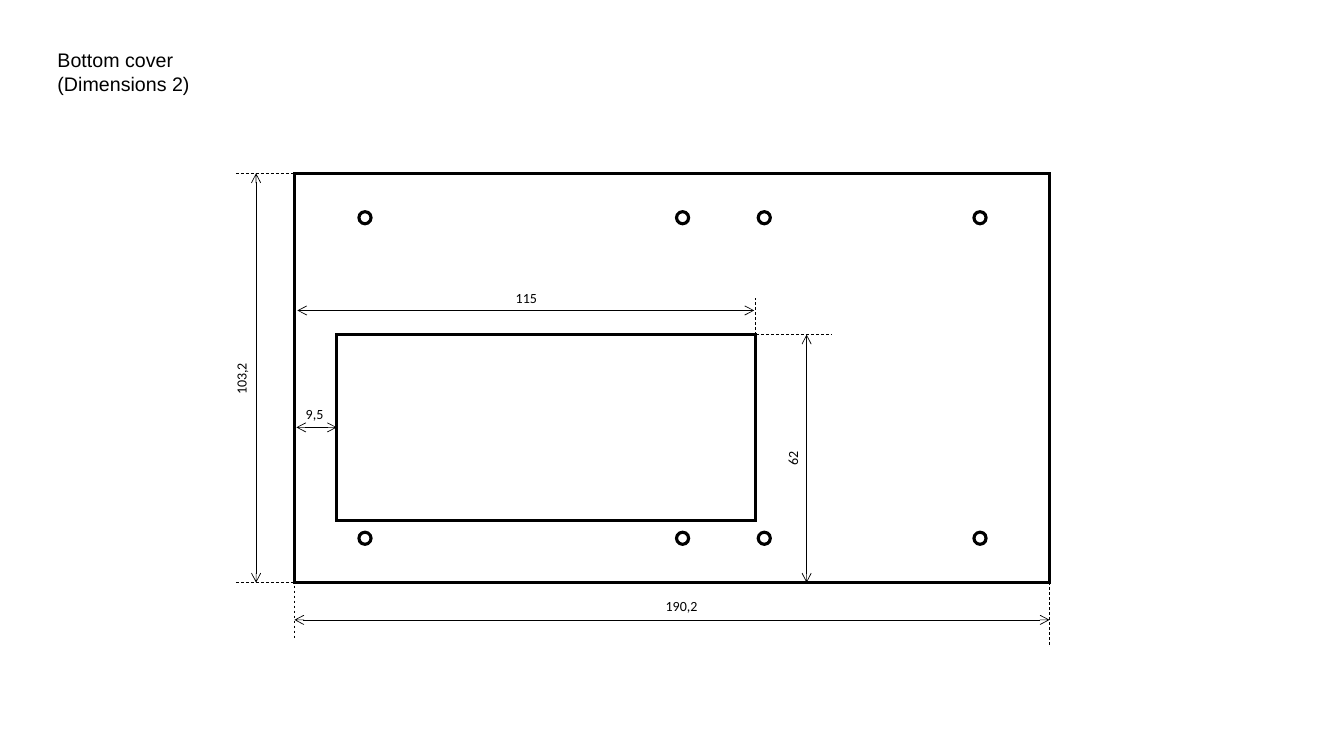
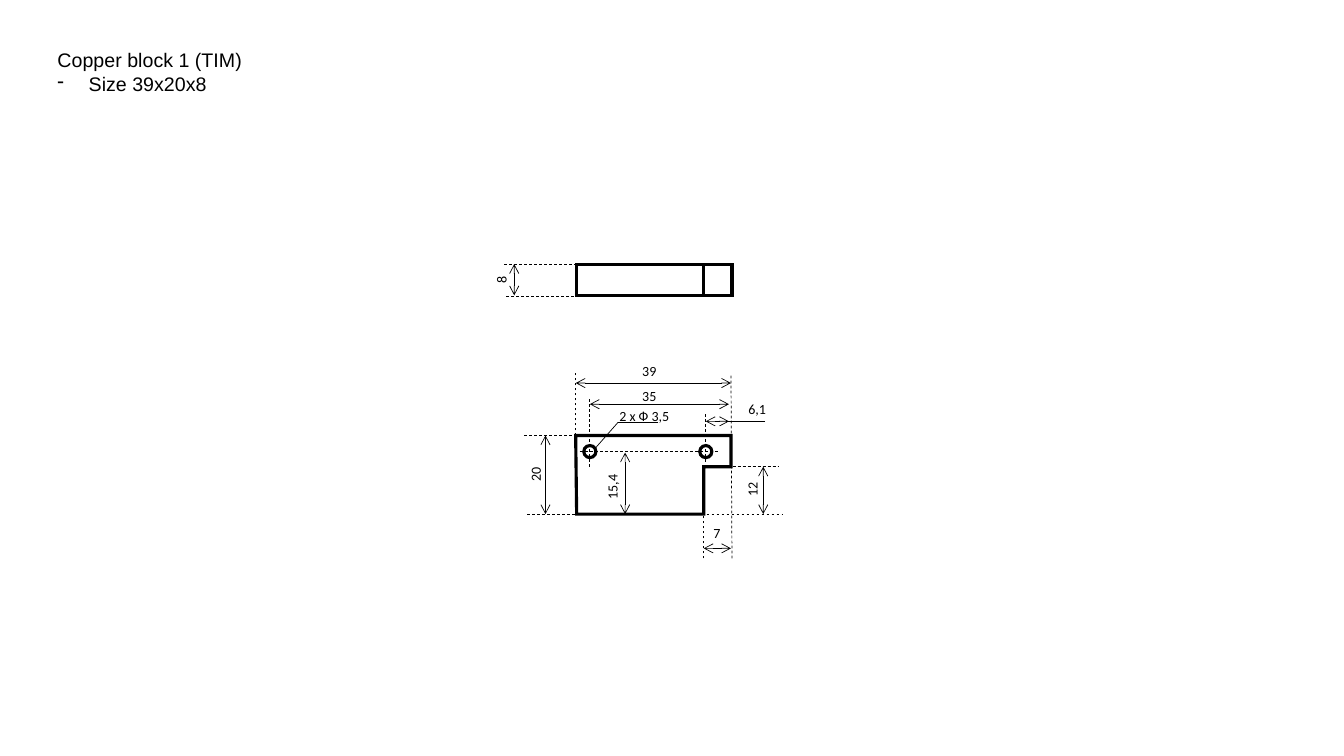
from dataclasses import dataclass
from itertools import product

from lxml.etree import SubElement
from pptx import Presentation
from pptx.dml.color import RGBColor
from pptx.enum.dml import MSO_LINE
from pptx.enum.shapes import MSO_CONNECTOR, MSO_SHAPE
from pptx.enum.text import MSO_ANCHOR, MSO_AUTO_SIZE, PP_ALIGN
from pptx.oxml.ns import qn
from pptx.util import Inches, Pt


@dataclass(frozen=True)
class Theme:
    ink: RGBColor = RGBColor(0, 0, 0)
    title_font: str = "Arial"
    title_size: int = 14
    label_font: str = "Calibri"
    label_size: int = 10
    edge: float = 2.25
    thin: float = 0.5
    hole: float = 0.12


@dataclass(frozen=True)
class Box:
    x: float
    y: float
    w: float
    h: float


THEME = Theme()


def add_run(para, text, font, size):
    run = para.add_run()
    run.text = text
    run.font.name = font
    run.font.size = Pt(size)
    run.font.color.rgb = THEME.ink


class Pen:
    """Draws on a slide, with all lengths in inches from the box's corner."""

    def __init__(self, slide, box):
        self.shapes = slide.shapes
        self.box = box

    def spot(self, x, y):
        return Inches(self.box.x + x), Inches(self.box.y + y)

    def outline(self, shape):
        shape.shadow.inherit = False
        shape.fill.background()
        shape.line.color.rgb = THEME.ink
        shape.line.width = Pt(THEME.edge)
        ln = shape._element.spPr.find(qn("a:ln"))
        SubElement(ln, qn("a:miter"), lim="800000")
        return shape

    def shape(self, kind, x, y, w, h):
        return self.outline(self.shapes.add_shape(
            kind, *self.spot(x, y), Inches(w), Inches(h)))

    def rect(self, x, y, w, h):
        return self.shape(MSO_SHAPE.RECTANGLE, x, y, w, h)

    def holes(self, cols, rows):
        """Puts a hole centred on every crossing of cols and rows."""
        size = THEME.hole
        for x, y in product(cols, rows):
            self.shape(MSO_SHAPE.OVAL, x - size / 2, y - size / 2, size, size)

    def polygon(self, points):
        first, *rest = [self.spot(*point) for point in points]
        form = self.shapes.build_freeform(*first, scale=1.0)
        form.add_line_segments(rest, close=True)
        return self.outline(form.convert_to_shape())

    def line(self, x1, y1, x2, y2, width=THEME.thin, dash=False, arrows=False):
        line = self.shapes.add_connector(
            MSO_CONNECTOR.STRAIGHT, *self.spot(x1, y1), *self.spot(x2, y2))
        line.line.color.rgb = THEME.ink
        line.line.width = Pt(width)
        if dash:
            line.line.dash_style = MSO_LINE.DASH
        props = line._element.spPr
        if arrows:
            for end in ("a:headEnd", "a:tailEnd"):
                SubElement(props.find(qn("a:ln")), qn(end), type="arrow")
        SubElement(props, qn("a:effectLst"))
        return line

    def guides(self, *ends):
        for end in ends:
            self.line(*end, dash=True)

    def spans(self, *ends):
        """Draws dimension lines, with an arrowhead at both ends."""
        for end in ends:
            self.line(*end, arrows=True)

    def label(self, text, x, y, turn=False):
        """Centres a text on (x, y); turn makes it read upwards."""
        w, h = 0.8, 0.27
        area = self.shapes.add_textbox(
            *self.spot(x - w / 2, y - h / 2), Inches(w), Inches(h))
        area.rotation = 270 if turn else 0
        frame = area.text_frame
        frame.word_wrap = True
        frame.margin_left = frame.margin_right = 0
        frame.vertical_anchor = MSO_ANCHOR.MIDDLE
        para = frame.paragraphs[0]
        para.alignment = PP_ALIGN.CENTER
        add_run(para, text, THEME.label_font, THEME.label_size)

    def labels(self, *items):
        for item in items:
            self.label(*item)


def add_page(deck, title, detail, dashed=False):
    """Adds a slide with a two-line title; dashed lists the second line."""
    slide = deck.slides.add_slide(deck.slide_layouts[5])
    head = slide.shapes.title
    head.left, head.top = Inches(0.47), Inches(0.43)
    head.width, head.height = Inches(4.41), Inches(0.57)
    frame = head.text_frame
    frame.word_wrap = True
    frame.auto_size = MSO_AUTO_SIZE.NONE
    frame.vertical_anchor = MSO_ANCHOR.TOP
    for para, text in ((frame.paragraphs[0], title),
                       (frame.add_paragraph(), detail)):
        para.alignment = PP_ALIGN.LEFT
        add_run(para, text, THEME.title_font, THEME.title_size)
    if dashed:
        props = para._p.get_or_add_pPr()
        indent = Inches(0.31)
        props.set("marL", str(indent))
        props.set("indent", str(-indent))
        SubElement(props, qn("a:buChar"), char="-")
    return slide


def draw_cover(slide, box):
    pen = Pen(slide, box)
    w, h = box.w, box.h
    cut = Box(0.42, 1.6, 4.15, 1.84)
    right = cut.x + cut.w
    pen.rect(0, 0, w, h)
    window = pen.rect(cut.x, cut.y, cut.w, cut.h)
    pen.holes((0.7, 3.85, 4.66, 6.8), (0.44, 3.62))
    pen.guides(
        (-0.58, 0, 0.32, 0),
        (-0.58, h, 0.12, h),
        (0, h - 0.12, 0, h + 0.56),
        (w, h - 0.2, w, h + 0.64),
        (right - 0.29, cut.y, right + 0.76, cut.y),
        (right, cut.y + 0.3, right, cut.y - 0.36),
    )
    pen.spans(
        (-0.38, 0, -0.38, h),
        (0, h + 0.37, w, h + 0.37),
        (0.03, 1.36, right - 0.01, 1.36),
        (5.08, cut.y, 5.08, h),
    )
    mid = cut.y + cut.h / 2
    gap = pen.line(0.02, mid, cut.x, mid, arrows=True)
    gap.end_connect(window, 1)
    pen.labels(
        ("103,2", -0.53, 2.04, True),
        ("190,2", 3.84, 4.29),
        ("115", 2.3, 1.24),
        ("62", 4.94, 2.83, True),
        ("9,5", 0.2, 2.39),
    )


def draw_side(slide, box):
    pen = Pen(slide, box)
    w, h = box.w, box.h
    pen.rect(0, 0, w, h)
    pen.line(1.26, 0, 1.26, h, width=THEME.edge)
    pen.guides((-0.72, 0, 0.03, 0), (-0.7, h + 0.01, 0.05, h + 0.01))
    pen.spans((-0.62, 0, -0.62, h))
    pen.label("8", -0.75, h / 2, True)


def draw_plan(slide, box):
    pen = Pen(slide, box)
    w, h = box.w, box.h
    step, notch = 1.27, 0.31
    left, right, row = 0.14, 1.29, 0.16
    pen.polygon(((0, 0), (0.01, h), (step, h), (step, notch),
                 (w, notch), (w, 0)))
    pen.guides(
        (-0.51, 0, 0.15, 0),
        (-0.48, h, 0.18, h),
        (1.1, h, 2.06, h),
        (1.26, notch, 2.02, notch),
        (0.04, row, 1.41, row),
        (right, 0.26, right, -0.21),
        (left, 0.31, left, -0.38),
        (w + 0.01, 1.22, w, -0.61),
        (step, 1.22, step, h),
        (0, 0, 0, -0.64),
    )
    pen.spans(
        (-0.3, h, -0.3, 0),
        (0.49, h, 0.49, row + 0.01),
        (1.86, h, 1.86, notch),
        (step, 1.12, w, 1.12),
        (right, -0.14, w - 0.02, -0.14),
        (left, -0.31, w - 0.02, -0.31),
        (0, -0.52, w, -0.52),
    )
    pen.holes((left, right), (row,))
    for end in ((1.88, -0.14, 1.49, -0.14),
                (0.42, -0.13, 0.2, 0.12),
                (0.82, -0.13, 0.42, -0.13)):
        pen.line(*end)
    pen.labels(
        ("39", 0.73, -0.64),
        ("35", 0.73, -0.39),
        ("2 x Ф 3,5", 0.68, -0.19),
        ("6,1", 1.8, -0.26),
        ("20", -0.4, 0.39, True),
        ("15,4", 0.36, 0.51, True),
        ("12", 1.75, 0.54, True),
        ("7", 1.4, 0.97),
    )


def main():
    deck = Presentation()
    deck.slide_width, deck.slide_height = Inches(13.33), Inches(7.5)
    cover = add_page(deck, "Bottom cover", "(Dimensions 2)")
    draw_cover(cover, Box(2.92, 1.72, 7.49, 4.06))
    block = add_page(deck, "Copper block 1 (TIM)", "Size 39x20x8", dashed=True)
    draw_side(block, Box(5.72, 2.62, 1.54, 0.31))
    draw_plan(block, Box(5.71, 4.32, 1.54, 0.78))
    deck.save("out.pptx")


if __name__ == "__main__":
    main()
